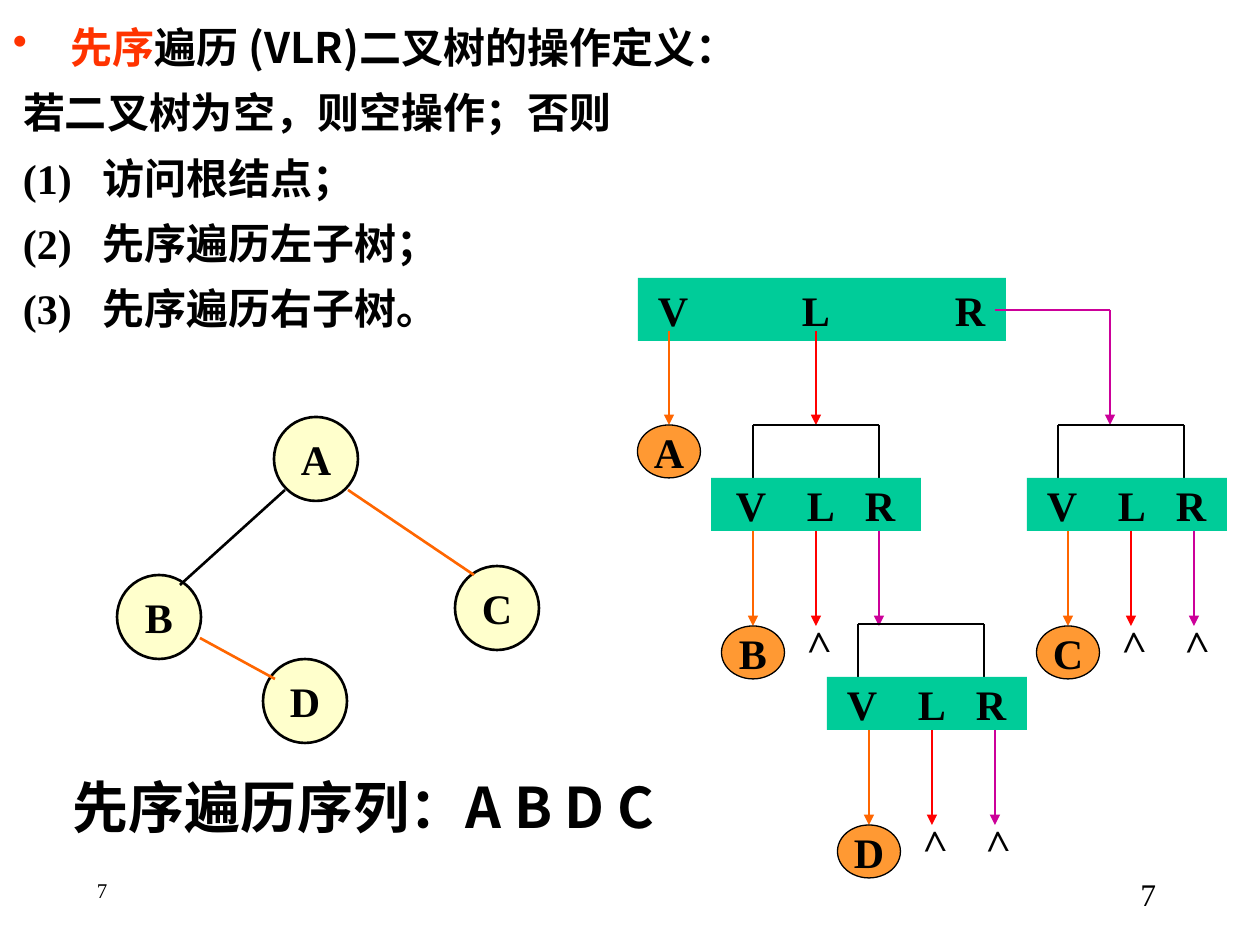
from pptx import Presentation
from pptx.util import Emu, Pt
from pptx.dml.color import RGBColor
from pptx.enum.shapes import MSO_CONNECTOR, MSO_SHAPE
from pptx.enum.text import MSO_ANCHOR, PP_ALIGN
from pptx.oxml import parse_xml
from pptx.oxml.ns import nsdecls, qn

COLORS = {"ink": "000000", "bullet": "FF3300", "node": "FFFFCC", "box": "00CC99",
          "visit": "FF9933", "V": "FF6600", "L": "FF0000", "R": "CC0099"}
SERIF, SANS = "Times New Roman", "Noto Sans CJK SC"

# Content: each paragraph is a list of (text, format) runs
DEFINITION = [
    [("先序", {"color": "bullet"}), ("遍历 ", {}), ("(VLR)", {"font": SANS}),
     ("二叉树的操作定义：", {})],
    [("若二叉树为空，则空操作；否则", {})],
    [("(1)\t访问根结点；", {})],
    [("(2)\t先序遍历左子树；", {})],
    [("(3)\t先序遍历右子树。", {})],
]
INDENTS = [(58, -58), (10, 0)] + [(90, -80)] * 3   # left margin, first line
SEQUENCE = "先序遍历序列：A B D C"
PAGE = "7"

NODES = {"A": (274, 417), "D": (263, 659), "B": (117, 575), "C": (455, 566)}
EDGES = [(285, 490, 180, 585, "ink"), (348, 490, 474, 575, "V"),
         (200, 638, 275, 679, "V")]

# Calls: node, box left, box top, box width, bracket left, V arrow x, empty subtrees
CALLS = [("B", 711, 478, 210, 753, 753, "L"),
         ("D", 827, 677, 200, 858, 869, "LR"),
         ("C", 1027, 478, 200, 1058, 1068, "LR")]
STEP, BOX_H, BRACKET_H, ARROW_H = 63, 53, 53, 95
VLR_OFFSETS = (-65, 5, 64)                          # letters from box centre

prs = Presentation()
U = 914400 / 126


def px(n):
    return Emu(round(n * U))


def rgb(name):
    return RGBColor.from_string(COLORS[name])


prs.slide_width, prs.slide_height = px(1260), px(945)
s = prs.slides.add_slide(prs.slide_layouts[6])


def add_xml(parent, tag, attrs="", inner=""):
    parent.append(parse_xml(f"<a:{tag} {nsdecls('a')} {attrs}>{inner}</a:{tag}>"))


def write(sp, paras, size=24, bold=True, font=SERIF, color="ink", align=PP_ALIGN.LEFT,
          anchor=MSO_ANCHOR.TOP, inset=(13, 6), spacing=None, indents=None,
          bullet=False, tabs=()):
    tf = sp.text_frame
    tf.word_wrap = True
    tf.vertical_anchor = anchor
    tf.margin_left = tf.margin_right = px(inset[0])
    tf.margin_top = tf.margin_bottom = px(inset[1])
    if isinstance(paras, str):
        paras = [[(paras, {})]]
    for i, runs in enumerate(paras):
        p = tf.paragraphs[0] if i == 0 else tf.add_paragraph()
        p.alignment = align
        pPr = p._p.get_or_add_pPr()
        if indents:
            pPr.set("marL", str(px(indents[i][0])))
            pPr.set("indent", str(px(indents[i][1])))
        if bullet and i == 0:
            add_xml(pPr, "buClr", inner=f'<a:srgbClr val="{COLORS["bullet"]}"/>')
            add_xml(pPr, "buChar", 'char="•"')
        if tabs:
            add_xml(pPr, "tabLst", inner="".join(
                f'<a:tab pos="{px(t)}" algn="ctr"/>' for t in tabs))
        if spacing:
            p.line_spacing = spacing
        for text, fmt in runs:
            r = p.add_run()
            r.text = text
            r.font.size, r.font.bold = Pt(size), bold
            r.font.name = fmt.get("font", font)
            r.font.color.rgb = rgb(fmt.get("color", color))
            add_xml(r._r.get_or_add_rPr(), "ea", f'typeface="{SANS}"')


def text_box(x, y, w, h, paras, **fmt):
    sp = s.shapes.add_textbox(px(x), px(y), px(w), px(h))
    write(sp, paras, **fmt)
    return sp


def shape(kind, x, y, w, h, fill, text, line=0, **fmt):
    sp = s.shapes.add_shape(kind, px(x), px(y), px(w), px(h))
    sp.shadow.inherit = False
    sp.fill.solid()
    sp.fill.fore_color.rgb = rgb(fill)
    if line:
        sp.line.color.rgb = rgb("ink")
        sp.line.width = Pt(line)
    else:
        sp.line.fill.background()
    write(sp, text, anchor=MSO_ANCHOR.MIDDLE, inset=(0, 0), **fmt)
    return sp


def line(x1, y1, x2, y2, color="ink", arrow=False):
    c = s.shapes.add_connector(MSO_CONNECTOR.STRAIGHT, px(x1), px(y1), px(x2), px(y2))
    c.line.color.rgb = rgb(color)
    c.line.width = Pt(1.5)
    spPr = c._element.spPr
    if arrow:
        add_xml(spPr.find(qn("a:ln")), "tailEnd", 'type="triangle"')
    add_xml(spPr, "effectLst")
    return c


def vlr_box(x, y, w, h, centres):
    return shape(MSO_SHAPE.RECTANGLE, x, y, w, h, "box", "\tV\tL\tR",
                 tabs=[c - x for c in centres])


def visit(name, x, top, bottom):
    """Arrow from a V down to the visited node."""
    c = line(x, top, x, bottom, "V", arrow=True)
    oval = shape(MSO_SHAPE.OVAL, x - 31.5, bottom, 63, 53, "visit", name, line=0.75,
                 align=PP_ALIGN.CENTER)
    c.end_connect(oval, 0)


# Definition
text_box(0, 0, 848, 340, DEFINITION, spacing=1.3, indents=INDENTS, bullet=True)

# Binary tree
for name, (x, y) in NODES.items():
    shape(MSO_SHAPE.OVAL, x, y, 84, 84, "node", name, line=1.5, align=PP_ALIGN.CENTER)
for edge in EDGES:
    line(*edge)

# Root call
vlr_box(638, 278, 368, 63, (673, 816, 970))
visit("A", 669, 331, 425)
line(816, 331, 816, 425, "L", arrow=True)
line(995, 310, 1110, 310, "R")
line(1110, 310, 1110, 425, "R", arrow=True)

# Recursive calls
for name, x, y, w, bracket, first, empty in CALLS:
    top, right = y - BRACKET_H, bracket + 2 * STEP
    line(bracket, top, right, top)
    for side in (bracket, right):
        line(side, top, side, y)
    centre = x + w / 2
    box = vlr_box(x, y, w, BOX_H, [centre + d for d in VLR_OFFSETS])
    start, tip = y + BOX_H, y + BOX_H + ARROW_H
    visit(name, first, start, tip)
    for i, branch in enumerate("LR", 1):
        ax = first + i * STEP
        c = line(ax, start, ax, tip, branch, arrow=True)
        if ax == centre:
            c.begin_connect(box, 2)
        if branch in empty:
            caret = text_box(ax - 26, tip - 16, 53, 63, ">")
            caret.rotation = 268.3

# Result and page numbers
text_box(60, 766, 629, 81, SEQUENCE, size=32, font=SANS)
text_box(84, 876, 273, 50, PAGE, size=12, bold=False, spacing=0.8)
text_box(907, 869, 262, 63, PAGE, size=18, bold=False, align=PP_ALIGN.RIGHT)

prs.save("out.pptx")
